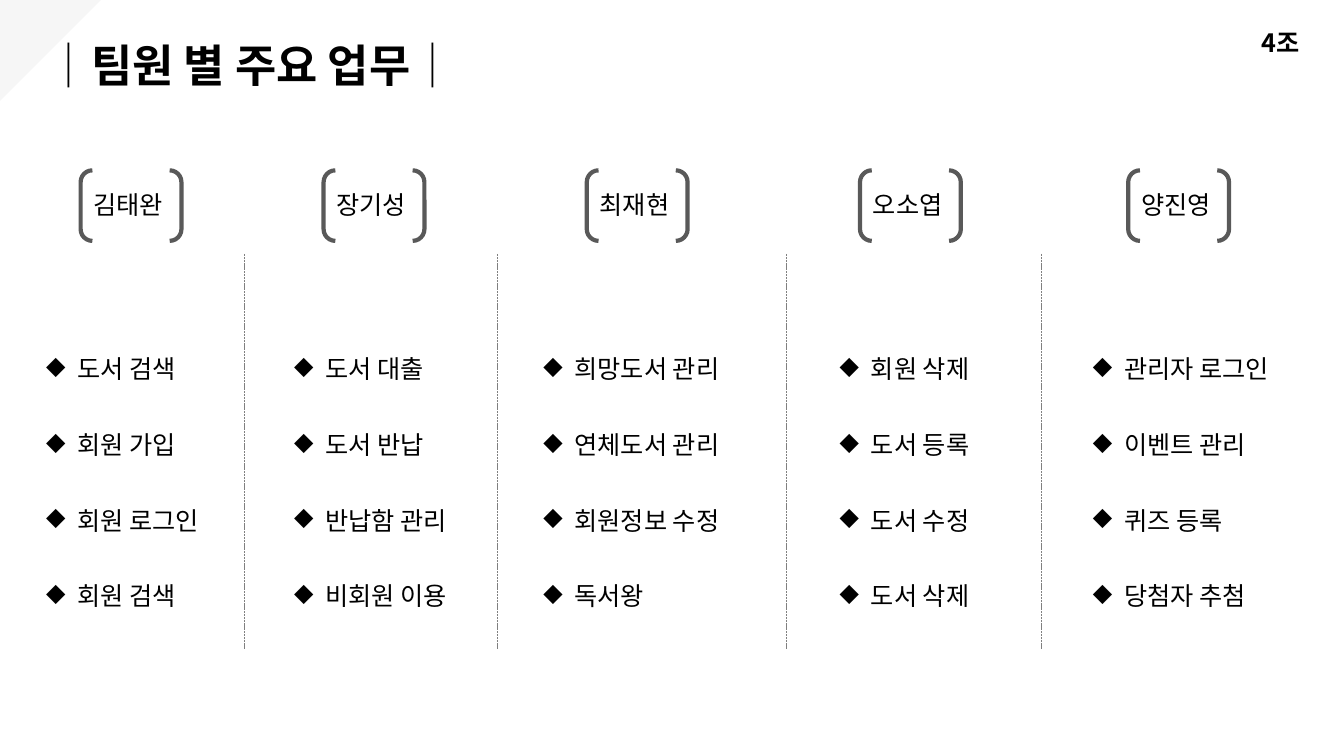
from dataclasses import dataclass

from lxml import etree
from pptx import Presentation
from pptx import util as u
from pptx.dml.color import RGBColor
from pptx.enum import dml, shapes, text
from pptx.oxml import ns

FONT = "Noto Sans CJK KR"
BLACK, DIVIDER_GREY, BRACKET_GREY, CORNER_GREY = "000000", "808080", "595959", "F6F6F6"
BRACKET_TOP, NAME_TOP, TASKS_TOP = 1.69, 1.83, 3.01
DIVIDER_TOP, DIVIDER_BOTTOM = 2.52, 6.44
DIVIDERS = (2.42, 4.93, 7.8, 10.33)


@dataclass(frozen=True)
class Member:
    name: str
    bracket_left: float
    tasks_left: float
    tasks_width: float
    tasks: tuple[str, ...]


MEMBERS = (
    Member("김태완", 0.8, 0.36, 1.87, ("도서 검색", "회원 가입", "회원 로그인", "회원 검색")),
    Member("장기성", 3.21, 2.82, 1.87, ("도서 대출", "도서 반납", "반납함 관리", "비회원 이용")),
    Member("최재현", 5.82, 5.29, 2.12, ("희망도서 관리", "연체도서 관리", "회원정보 수정", "독서왕")),
    Member("오소엽", 8.53, 8.23, 1.62, ("회원 삭제", "도서 등록", "도서 수정", "도서 삭제")),
    Member("양진영", 11.19, 10.74, 2.12, ("관리자 로그인", "이벤트 관리", "퀴즈 등록", "당첨자 추첨")),
)


def paint(color_format, color: str) -> None:
    """Set a fill or line fill to a solid colour."""
    color_format.solid()
    color_format.fore_color.rgb = RGBColor.from_string(color)


def place(shape, left: float, top: float, width: float, height: float) -> None:
    """Position a shape in inches."""
    shape.left, shape.top = u.Inches(left), u.Inches(top)
    shape.width, shape.height = u.Inches(width), u.Inches(height)


def add_bullet(para) -> None:
    """Give a paragraph a hanging diamond bullet."""
    props = para._p.get_or_add_pPr()
    props.set("marL", str(u.Inches(0.31)))
    props.set("indent", str(u.Inches(-0.31)))
    etree.SubElement(props, ns.qn("a:buFont"), typeface="OpenSymbol")
    etree.SubElement(props, ns.qn("a:buChar"), char="◆")


def write(frame, *lines: str, size: float = 18, bold: bool = False,
          spacing: float = 1.0, bullet: bool = False) -> None:
    """Write one paragraph per line with a shared format."""
    for index, line in enumerate(lines):
        para = frame.add_paragraph() if index else frame.paragraphs[0]
        para.alignment = text.PP_ALIGN.LEFT
        para.line_spacing = spacing
        if bullet:
            add_bullet(para)
        span = para.add_run()
        span.text = line
        span.font.size, span.font.bold, span.font.name = u.Pt(size), bold, FONT
        paint(span.font.fill, BLACK)
        etree.SubElement(span.font._element, ns.qn("a:ea"), typeface=FONT)


def add_text(page, left: float, top: float, width: float, height: float,
             *lines: str, wrap: bool = False, **style) -> None:
    """Add a text box that grows with its text."""
    box = page.shapes.add_textbox(0, 0, 0, 0)
    place(box, left, top, width, height)
    box.text_frame.word_wrap = wrap
    box.text_frame.auto_size = text.MSO_AUTO_SIZE.SHAPE_TO_FIT_TEXT
    write(box.text_frame, *lines, **style)


def add_title(page) -> None:
    """Place and fill the title placeholder."""
    title = page.shapes.title
    place(title, 0.36, 0.22, 5.07, 0.91)
    title.text_frame.vertical_anchor = text.MSO_ANCHOR.MIDDLE
    write(title.text_frame, "│팀원 별 주요 업무│", size=32, bold=True, spacing=0.9)


def add_divider(page, x: float) -> None:
    """Add a dashed vertical line between two columns."""
    line = page.shapes.add_connector(
        shapes.MSO_CONNECTOR.STRAIGHT,
        u.Inches(x), u.Inches(DIVIDER_TOP), u.Inches(x), u.Inches(DIVIDER_BOTTOM))
    paint(line.line.fill, DIVIDER_GREY)
    line.line.width = u.Pt(0.5)
    line.line.dash_style = dml.MSO_LINE.SQUARE_DOT
    etree.SubElement(line._element.spPr, ns.qn("a:effectLst"))


def add_member(page, member: Member) -> None:
    """Add a member's bracketed name and task list."""
    bracket = page.shapes.add_shape(shapes.MSO_SHAPE.DOUBLE_BRACKET, 0, 0, 0, 0)
    place(bracket, member.bracket_left, BRACKET_TOP, 1, 0.7)
    bracket.shadow.inherit = False
    bracket.fill.background()
    paint(bracket.line.fill, BRACKET_GREY)
    bracket.line.width = u.Pt(3)
    add_text(page, member.bracket_left + 0.03, NAME_TOP, 0.96, 0.4, member.name)
    add_text(page, member.tasks_left, TASKS_TOP, member.tasks_width, 3,
             *member.tasks, spacing=2.5, bullet=True)


def add_corner(page) -> None:
    """Add the pale triangle in the top left corner."""
    corner = page.shapes.add_shape(shapes.MSO_SHAPE.RIGHT_TRIANGLE, 0, 0, u.Inches(1), u.Inches(1))
    corner.rotation = 90
    corner.shadow.inherit = False
    paint(corner.fill, CORNER_GREY)
    corner.line.fill.background()


def main() -> None:
    """Build the slide and save the deck."""
    deck = Presentation()
    deck.slide_width, deck.slide_height = u.Inches(13.33), u.Inches(7.5)
    page = deck.slides.add_slide(deck.slide_layouts[5])
    paint(page.background.fill, "FFFFFF")
    add_title(page)
    for x in DIVIDERS:
        add_divider(page, x)
    for member in MEMBERS:
        add_member(page, member)
    add_text(page, 12.41, 0.22, 0.72, 0.4, "4조", wrap=True, bold=True)
    add_corner(page)
    deck.save("out.pptx")


if __name__ == "__main__":
    main()
